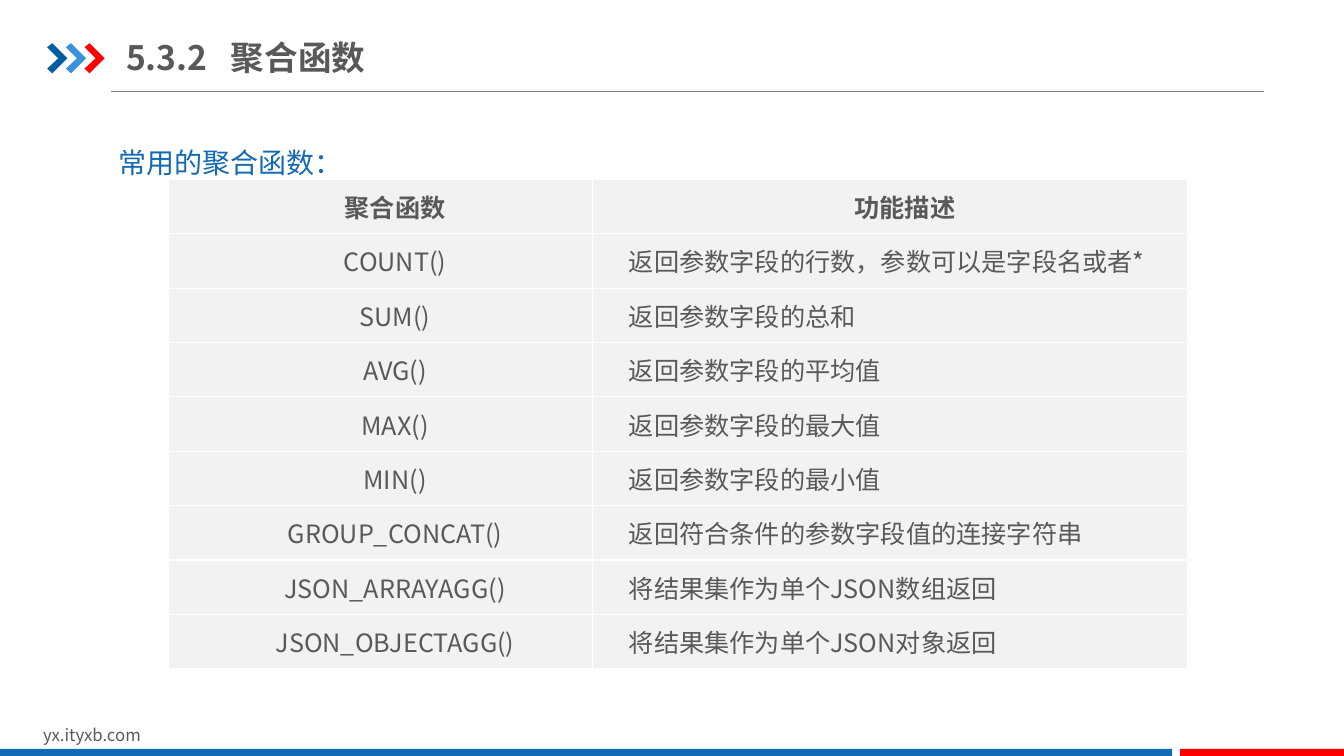
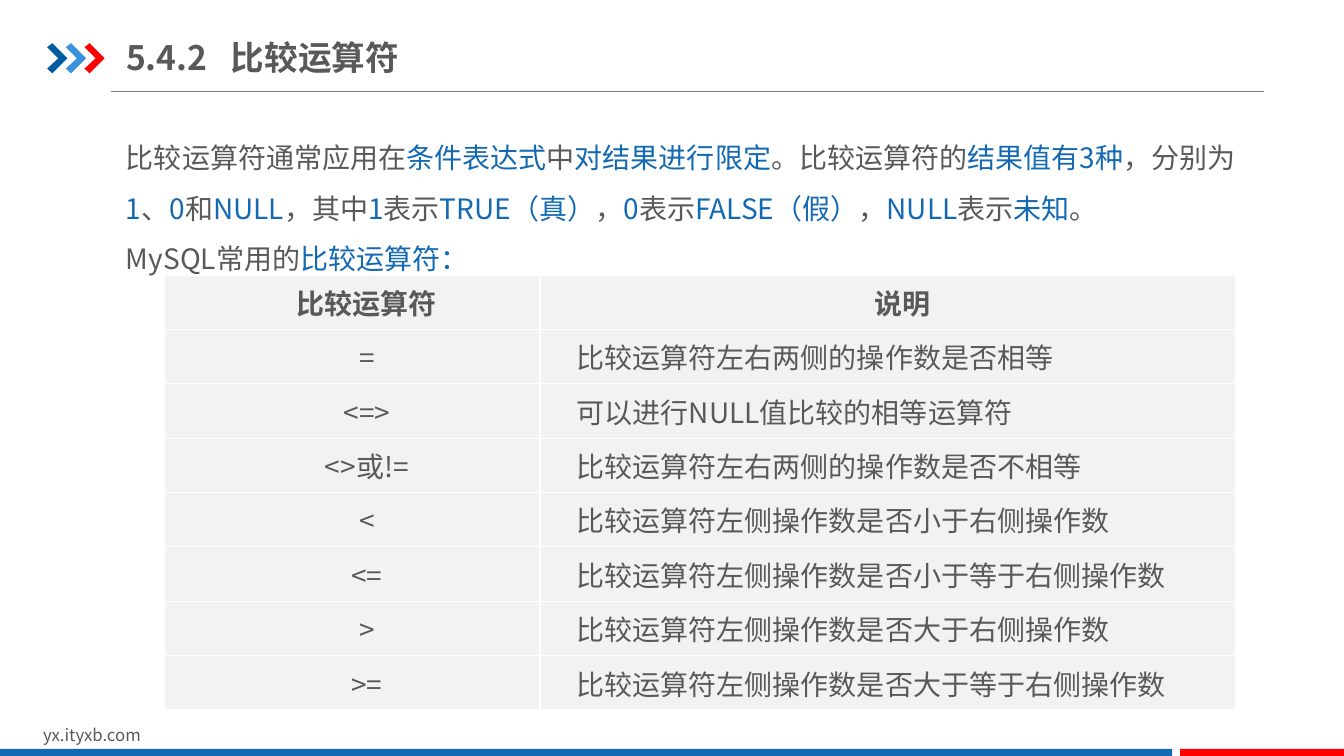
from dataclasses import dataclass

from lxml.etree import SubElement
from pptx import Presentation
from pptx.dml.color import RGBColor
from pptx.enum.shapes import MSO_CONNECTOR, MSO_SHAPE
from pptx.enum.text import MSO_ANCHOR, MSO_AUTO_SIZE, PP_ALIGN
from pptx.oxml.ns import qn
from pptx.util import Cm, Pt


@dataclass(frozen=True)
class Theme:
    font: str = "Noto Sans CJK SC"
    text: str = "595959"
    accent: str = "1369B2"
    red: str = "FF0000"
    chevrons: tuple = ("005DA2", "3992DB", "FF0000")
    rule: str = "808080"
    cell: str = "F2F2F2"
    grid: str = "FFFFFF"
    title_size: int = 24
    body_size: int = 20
    small_size: int = 18
    footer_size: int = 12


THEME = Theme()
PAGE_WIDTH, PAGE_HEIGHT = 33.87, 19.05
ROW_HEIGHT = 1.37
CELL_INDENT = 0.74
CHEVRON_OUTLINE = [(0, 0.1), (0.13, 0), (0.51, 0.38),
                   (0.13, 0.76), (0, 0.64), (0.28, 0.38)]

# In the introductions, "|" switches the accent colour on and off.
AGGREGATES = {
    "title": "5.3.2\t聚合函数",
    "intro": ["|常用的聚合函数："],
    "intro_box": (2.72, 3.12, 29.79, 1.4),
    "table_corner": (4.24, 4.52),
    "columns": (10.69, 15.01),
    "size": THEME.small_size,
    "rows": [
        ("聚合函数", "功能描述"),
        ("COUNT()", "返回参数字段的行数，参数可以是字段名或者*"),
        ("SUM()", "返回参数字段的总和"),
        ("AVG()", "返回参数字段的平均值"),
        ("MAX()", "返回参数字段的最大值"),
        ("MIN()", "返回参数字段的最小值"),
        ("GROUP_CONCAT()", "返回符合条件的参数字段值的连接字符串"),
        ("JSON_ARRAYAGG()", "将结果集作为单个JSON数组返回"),
        ("JSON_OBJECTAGG()", "将结果集作为单个JSON对象返回"),
    ],
}
COMPARISONS = {
    "title": "5.4.2\t比较运算符",
    "intro": [
        "比较运算符通常应用在|条件表达式|中|对结果进行限定|。比较运算符的|结果值有3种|"
        "，分别为|1|、|0|和|NULL|，其中|1|表示|TRUE（真）|，|0|表示|FALSE（假）|"
        "，|NULL|表示|未知|。",
        "MySQL常用的|比较运算符：",
    ],
    "intro_box": (2.92, 3, 28.6, 4.11),
    "table_corner": (4.14, 6.93),
    "columns": (9.47, 17.53),
    "size": THEME.body_size,
    "rows": [
        ("比较运算符", "说明"),
        ("=", "比较运算符左右两侧的操作数是否相等"),
        ("<=>", "可以进行NULL值比较的相等运算符"),
        ("<>或!=", "比较运算符左右两侧的操作数是否不相等"),
        ("<", "比较运算符左侧操作数是否小于右侧操作数"),
        ("<=", "比较运算符左侧操作数是否小于等于右侧操作数"),
        (">", "比较运算符左侧操作数是否大于右侧操作数"),
        (">=", "比较运算符左侧操作数是否大于等于右侧操作数"),
    ],
}


def rgb(value):
    return RGBColor.from_string(value)


def style_paragraph(paragraph, size, bold=False, align=PP_ALIGN.LEFT):
    paragraph.alignment = align
    font = paragraph.font
    font.size, font.bold, font.name = Pt(size), bold, THEME.font
    font.color.rgb = rgb(THEME.text)
    defaults = paragraph._p.pPr.find(qn("a:defRPr"))
    SubElement(defaults, qn("a:ea"), typeface=THEME.font)


def place(shape, left, top, width, height):
    shape.left, shape.top = Cm(left), Cm(top)
    shape.width, shape.height = Cm(width), Cm(height)


def paint(shape, color):
    shape.fill.solid()
    shape.fill.fore_color.rgb = rgb(color)
    shape.line.fill.background()
    shape.shadow.inherit = False


def add_chevrons(slide, left, top, step):
    group = slide.shapes.add_group_shape()
    for number, color in enumerate(THEME.chevrons):
        points = [(Cm(left + number * step + x), Cm(top + y))
                  for x, y in CHEVRON_OUTLINE]
        outline = group.shapes.build_freeform(*points[0])
        outline.add_line_segments(points[1:], close=True)
        paint(outline.convert_to_shape(), color)


def add_header(slide, title):
    rule = slide.shapes.add_connector(
        MSO_CONNECTOR.STRAIGHT, Cm(2.79), Cm(2.31), Cm(31.85), Cm(2.31))
    rule.line.color.rgb = rgb(THEME.rule)
    rule.line.width = Pt(0.75)
    SubElement(rule._element.spPr, qn("a:effectLst"))
    add_chevrons(slide, 1.19, 1.09, 0.47)

    heading = slide.shapes.title
    place(heading, 3.18, 0.74, 14.55, 1.4)
    frame = heading.text_frame
    frame.text = title
    frame.auto_size = MSO_AUTO_SIZE.NONE
    frame.vertical_anchor = MSO_ANCHOR.MIDDLE
    frame.margin_left = frame.margin_right = 0
    paragraph = frame.paragraphs[0]
    tabs = SubElement(paragraph._p.get_or_add_pPr(), qn("a:tabLst"))
    SubElement(tabs, qn("a:tab"), pos=str(Cm(2.64)), algn="l")
    style_paragraph(paragraph, THEME.title_size, bold=True)


def add_footer(slide):
    address = slide.shapes.add_textbox(Cm(0.84), Cm(18.14), Cm(8.08), Cm(0.77))
    address.text_frame.word_wrap = True
    address.text_frame.text = "yx.ityxb.com"
    style_paragraph(address.text_frame.paragraphs[0], THEME.footer_size)

    band_top = 18.87
    for left, right, color in ((0, 29.54, THEME.accent),
                               (29.74, PAGE_WIDTH, THEME.red)):
        band = slide.shapes.add_shape(
            MSO_SHAPE.RECTANGLE, Cm(left), Cm(band_top),
            Cm(right - left), Cm(PAGE_HEIGHT - band_top))
        paint(band, color)


def add_intro(slide, box, texts):
    body = slide.placeholders[1]
    place(body, *box)
    frame = body.text_frame
    frame.auto_size = MSO_AUTO_SIZE.NONE
    for number, text in enumerate(texts):
        paragraph = frame.add_paragraph() if number else frame.paragraphs[0]
        properties = paragraph._p.get_or_add_pPr()
        properties.set("marL", "0")
        properties.set("indent", "0")
        SubElement(properties, qn("a:buNone"))
        paragraph.line_spacing = 1.5
        paragraph.space_before = Pt(0)
        style_paragraph(paragraph, THEME.body_size)
        for position, piece in enumerate(text.split("|")):
            if piece:
                run = paragraph.add_run()
                run.text = piece
                if position % 2:
                    run.font.color.rgb = rgb(THEME.accent)


def outline_cell(cell):
    properties = cell._tc.get_or_add_tcPr()
    for side in ("lnL", "lnR", "lnT", "lnB"):
        border = SubElement(properties, qn(f"a:{side}"), w=str(Pt(1)))
        fill = SubElement(border, qn("a:solidFill"))
        SubElement(fill, qn("a:srgbClr"), val=THEME.grid)


def fill_cell(cell, text, size, bold, align):
    outline_cell(cell)
    cell.fill.solid()
    cell.fill.fore_color.rgb = rgb(THEME.cell)
    cell.vertical_anchor = MSO_ANCHOR.MIDDLE
    cell.margin_left = cell.margin_right = Cm(0.18)
    cell.margin_top = cell.margin_bottom = 0
    cell.text = text
    paragraph = cell.text_frame.paragraphs[0]
    paragraph._p.get_or_add_pPr().set("indent", str(Cm(CELL_INDENT)))
    style_paragraph(paragraph, size, bold, align)


def add_reference_table(slide, corner, columns, rows, size):
    left, top = corner
    table = slide.shapes.add_table(
        len(rows), len(columns), Cm(left), Cm(top),
        Cm(sum(columns)), Cm(ROW_HEIGHT * len(rows))).table
    table.first_row = table.horz_banding = False
    for column, width in zip(table.columns, columns):
        column.width = Cm(width)
    for r, entries in enumerate(rows):
        table.rows[r].height = Cm(ROW_HEIGHT)
        for c, text in enumerate(entries):
            centred = r == 0 or c == 0
            fill_cell(table.cell(r, c), text, size, r == 0,
                      PP_ALIGN.CENTER if centred else PP_ALIGN.LEFT)


def add_reference_slide(deck, content):
    """Add a slide with a title, an introduction and a two-column table."""
    slide = deck.slides.add_slide(deck.slide_layouts[1])
    add_header(slide, content["title"])
    add_footer(slide)
    add_intro(slide, content["intro_box"], content["intro"])
    add_reference_table(slide, content["table_corner"], content["columns"],
                        content["rows"], content["size"])


def main():
    deck = Presentation()
    deck.slide_width, deck.slide_height = Cm(PAGE_WIDTH), Cm(PAGE_HEIGHT)
    for content in (AGGREGATES, COMPARISONS):
        add_reference_slide(deck, content)
    deck.save("out.pptx")


if __name__ == "__main__":
    main()
